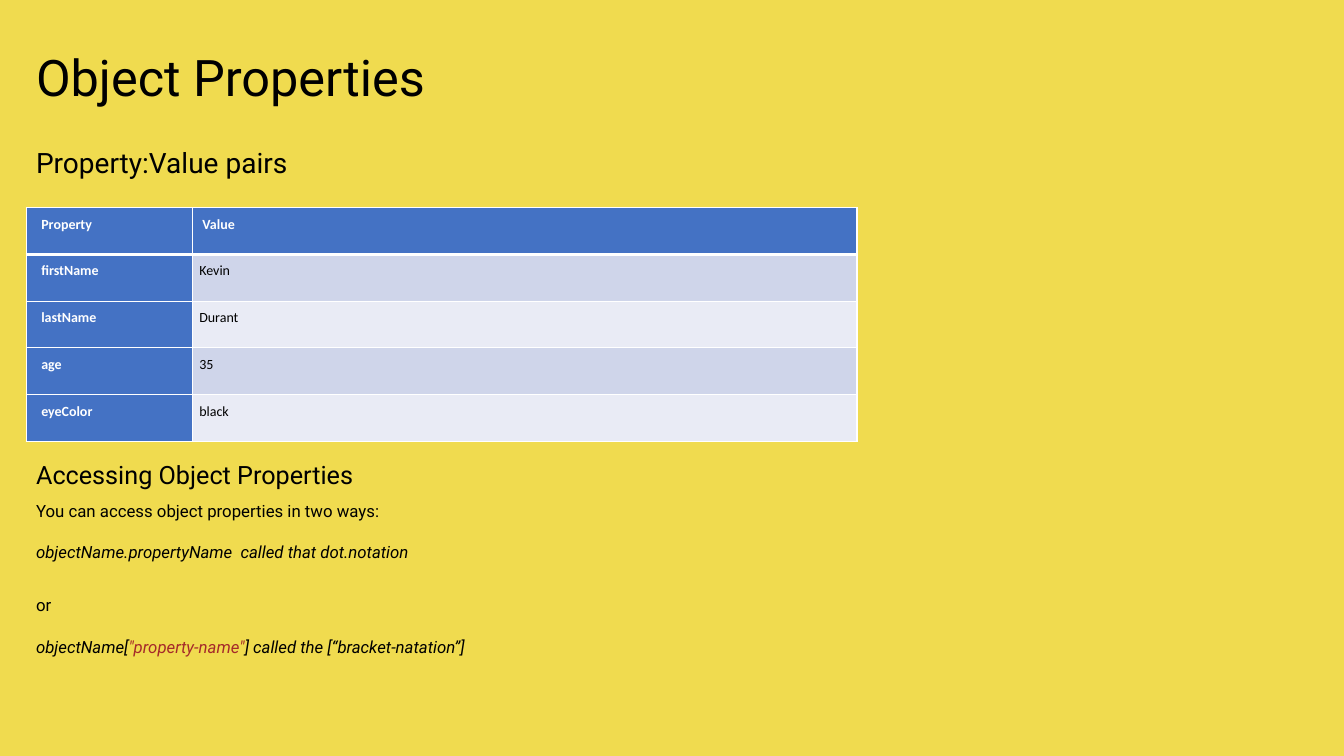
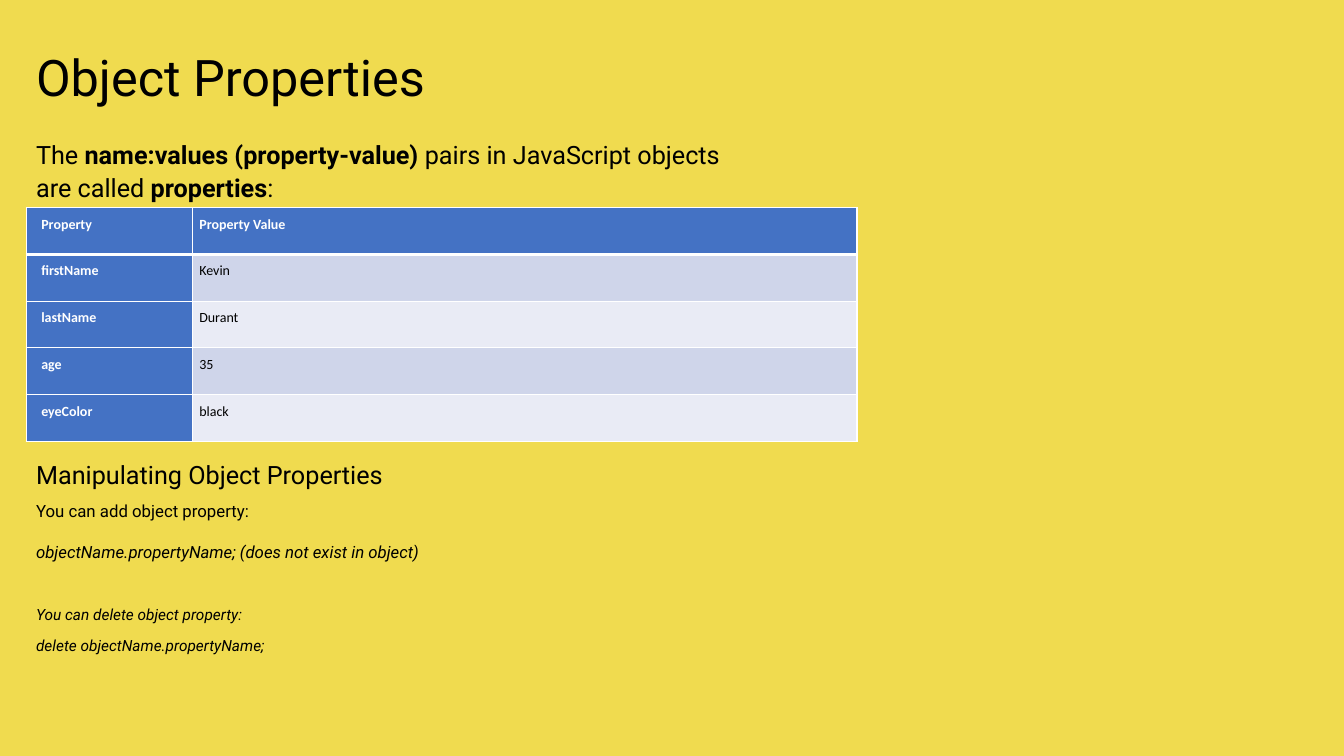
import pptx
import pptx.util
import pptx.dml.color
import pptx.enum.text
import pptx.oxml
import pptx.oxml.ns

Inches = pptx.util.Inches
Pt = pptx.util.Pt

COLORS = {
    "background": "F0DB4F",
    "text": "000000",
    "white": "FFFFFF",
    "header": "4472C4",
    "odd": "CFD5EA",
    "even": "E9EBF5",
    "string": "A52A2A",
}
BODY_FONT, TABLE_FONT = "Roboto", "Calibri"
LEFT = 0.26
TABLE_BOX = (LEFT, 2.06, 8.24, 2.32)
PERSON = [("firstName", "Kevin"), ("lastName", "Durant"), ("age", "35"), ("eyeColor", "black")]


def rgb(name):
    return pptx.dml.color.RGBColor.from_string(COLORS[name])


def add_run(p, text, size, font=BODY_FONT, color="text", bold=False, italic=False):
    r = p.add_run()
    r.text = text
    r.font.size = Pt(size)
    r.font.name = font
    r.font.color.rgb = rgb(color)
    r.font.bold = bold
    r.font.italic = italic


def space(p, before, after):
    p.line_spacing = 1.07
    p.space_before = Pt(before)
    p.space_after = Pt(after)


def add_text(s, box, paragraphs):
    tf = s.shapes.add_textbox(*map(Inches, box)).text_frame
    tf.word_wrap = True
    tf.auto_size = pptx.enum.text.MSO_AUTO_SIZE.SHAPE_TO_FIT_TEXT
    for i, (size, before, after, runs) in enumerate(paragraphs):
        p = tf.add_paragraph() if i else tf.paragraphs[0]
        space(p, before, after)
        for text, style in runs:
            add_run(p, text, size, **style)


def heading(text, size):
    return size, 7.5, 7.5, [(text, {})]


def set_borders(cell, row):
    widths = {"lnL": 1, "lnR": 1, "lnT": 3 if row == 1 else 1, "lnB": 3 if row == 0 else 1}
    tc_pr = cell._tc.get_or_add_tcPr()
    for i, (side, width) in enumerate(widths.items()):
        tc_pr.insert(i, pptx.oxml.parse_xml(
            f'<a:{side} {pptx.oxml.ns.nsdecls("a")} w="{Pt(width)}"><a:solidFill>'
            f'<a:srgbClr val="{COLORS["white"]}"/></a:solidFill></a:{side}>'))


def add_property_table(s, box, value_title):
    rows = [("Property", value_title)] + PERSON
    x, y, w, h = box
    table = s.shapes.add_table(len(rows), 2, *map(Inches, box)).table
    table.first_col = True
    for column, share in zip(table.columns, (0.2, 0.8)):
        column.width = Inches(w * share)
    for i, values in enumerate(rows):
        table.rows[i].height = Inches(h / len(rows))
        for j, text in enumerate(values):
            cell = table.cell(i, j)
            is_header = i == 0 or j == 0
            cell.fill.solid()
            cell.fill.fore_color.rgb = rgb("header" if is_header else "odd" if i % 2 else "even")
            cell.margin_left = Inches(0.07 if j else 0.15)
            cell.margin_top = cell.margin_right = cell.margin_bottom = Inches(0.07)
            p = cell.text_frame.paragraphs[0]
            space(p, 15, 15)
            add_run(p, text, 10, TABLE_FONT, "white" if is_header else "text", is_header)
            set_borders(cell, i)


def add_property_slide(prs, intro, value_title, subtitle, details):
    s = prs.slides.add_slide(prs.slide_layouts[6])
    s.background.fill.solid()
    s.background.fill.fore_color.rgb = rgb("background")
    add_text(s, (LEFT, 0.37, 7.1, 0.72), [heading("Object Properties", 36)] + intro)
    add_property_table(s, TABLE_BOX, value_title)
    add_text(s, (LEFT, 4.49, 6.67, 0.41), [heading(subtitle, 18)])
    add_text(s, (LEFT, 4.9, 7.5, 1.66), details)
    return s


def main():
    prs = pptx.Presentation()
    prs.slide_width, prs.slide_height = Inches(13.33), Inches(7.5)
    bold, italic = {"bold": True}, {"italic": True}

    s = add_property_slide(prs, [], " Value", "Accessing Object Properties", [
        (12, 14.4, 14.4, [("You can access object properties in two ways:", {})]),
        (12, 0, 8, [("objectName.propertyName  called that dot.notation", italic)]),
        (12, 14.4, 14.4, [("or", {})]),
        (12, 0, 8, [("objectName[", italic),
                    ('"property-name"', {"italic": True, "color": "string"}),
                    ("] called the [“bracket-natation”]", italic)]),
    ])
    add_text(s, (LEFT, 1.37, 6.67, 0.45), [heading("Property:Value pairs", 20)])

    intro = (18, 14.4, 14.4, [("The ", {}), ("name:values (property-value)", bold),
                              (" pairs in JavaScript objects are called ", {}),
                              ("properties", bold), (":", {})])
    add_property_slide(prs, [intro], "Property Value", "Manipulating Object Properties", [
        (12, 14.4, 14.4, [("You can add object property:", {})]),
        (12, 0, 8, [("objectName.propertyName; (does not exist in object)", italic)]),
        (11, 22, 8, [("You can delete object property:", italic)]),
        (11, 0, 8, [("delete objectName.propertyName;", italic)]),
    ])
    prs.save("out.pptx")


if __name__ == "__main__":
    main()
